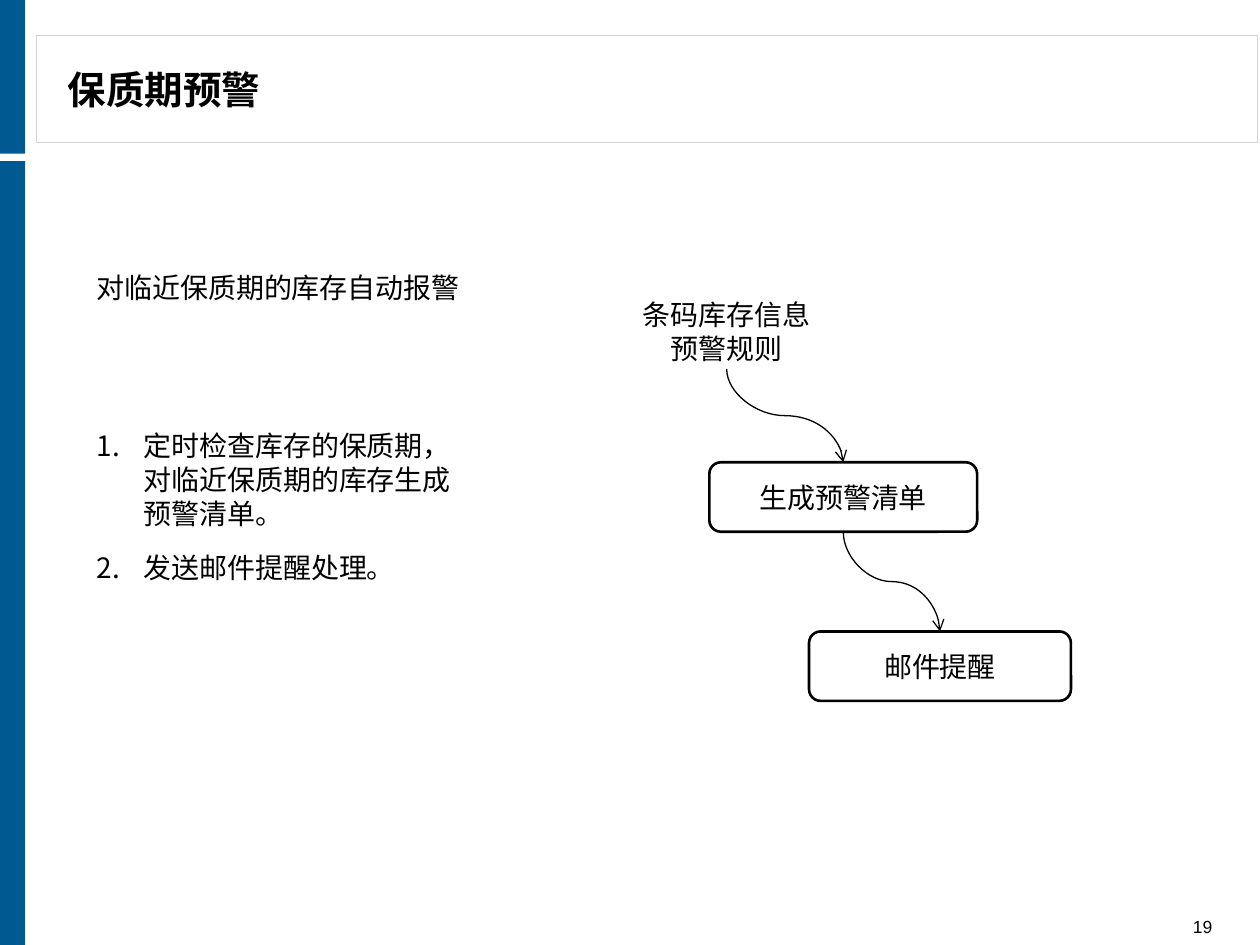
from lxml.etree import SubElement
from pptx import Presentation
from pptx.dml.color import RGBColor
from pptx.enum.shapes import MSO_CONNECTOR as LINK, MSO_SHAPE as SHAPE
from pptx.enum.text import MSO_ANCHOR as ANCHOR, PP_ALIGN as ALIGN
from pptx.oxml.ns import qn
from pptx.util import Cm, Pt

COLORS = {"black": "000000", "white": "FFFFFF", "blue": "005A92", "gray": "D0D3DA"}
FONT = {"name": "Arial", "size": Pt(16)}
FRAME = {
    "word_wrap": True,
    "vertical_anchor": ANCHOR.MIDDLE,
    "margin_left": Cm(0.25),
    "margin_right": Cm(0.25),
    "margin_top": 0,
    "margin_bottom": 0,
}
CENTER = {"alignment": ALIGN.CENTER}
LIST = {"alignment": ALIGN.LEFT, "space_before": Pt(6), "space_after": Pt(6)}


def apply(target, values):
    for name, value in values.items():
        setattr(target, name, value)


def color(name):
    return RGBColor.from_string(COLORS[name])


def write(shape, lines, font={}, frame={}, para_format={}):
    text_frame = shape.text_frame
    apply(text_frame, FRAME | frame)
    text_frame.text = "\n".join(lines)
    for para in text_frame.paragraphs:
        apply(para, para_format)
        for span in para.runs:
            apply(span.font, FONT | font)
            span.font.color.rgb = color("black")


def add_text(page, place, text, **formats):
    box = page.shapes.add_textbox(*map(Cm, place))
    write(box, [text], **formats)


def add_box(page, kind, place, fill="white", line=None, width=1.5):
    box = page.shapes.add_shape(kind, *map(Cm, place))
    box.shadow.inherit = False
    box.fill.solid()
    box.fill.fore_color.rgb = color(fill)
    if line:
        box.line.color.rgb = color(line)
        box.line.width = Pt(width)
    else:
        box.line.fill.background()
    return box


def number_paragraphs(box):
    for para in box.text_frame.paragraphs:
        settings = para._p.get_or_add_pPr()
        settings.set("marL", str(Cm(0.95)))
        settings.set("indent", str(-Cm(0.95)))
        SubElement(settings, qn("a:buFont"), typeface="Arial")
        SubElement(settings, qn("a:buAutoNum"), type="arabicPeriod")


def add_curve(page, start, end):
    middle_x, middle_y = ((a + b) / 2 for a, b in zip(start, end))
    half_x, half_y = ((b - a) / 2 for a, b in zip(start, end))
    turned = (middle_x + half_y, middle_y - half_x, middle_x - half_y, middle_y + half_x)
    curve = page.shapes.add_connector(LINK.CURVE, *map(Cm, turned))
    curve.line.color.rgb = color("black")
    curve.line.width = Pt(0.75)
    properties = curve._element.spPr
    properties.find(qn("a:xfrm")).set("rot", str(270 * 60000))
    SubElement(curve.line._get_or_add_ln(), qn("a:tailEnd"), type="arrow")
    SubElement(properties, qn("a:effectLst"))


def add_frame(page):
    add_box(page, SHAPE.RECTANGLE, (0.74, 0.71, 24.61, 2.16), line="gray", width=0.75)
    for top, height in ((0, 3.1), (3.25, 15.8)):
        add_box(page, SHAPE.RECTANGLE, (0, top, 0.51, height), fill="blue")
    add_text(page, (1.12, 0.79, 16, 2.01), "保质期预警", font={"size": Pt(22), "bold": True})
    add_text(page, (22.3, 18.44, 2.39, 0.46), "19", font={"size": Pt(10)},
             frame={"vertical_anchor": ANCHOR.BOTTOM}, para_format={"alignment": ALIGN.RIGHT})


def add_flow(page):
    source = add_box(page, SHAPE.FLOWCHART_DOCUMENT, (12.7, 6.12, 3.89, 1.4))
    write(source, ["条码库存信息", "预警规则"], para_format=CENTER)
    steps = (
        ("生成预警清单", (14.3, 9.32, 5.4, 1.4)),
        ("邮件提醒", (16.31, 12.73, 5.28, 1.4)),
    )
    start = (14.65, 7.44)
    for text, place in steps:
        box = add_box(page, SHAPE.ROUNDED_RECTANGLE, place, line="black")
        write(box, [text], para_format=CENTER)
        left, top, width, height = place
        middle = left + width / 2
        add_curve(page, start, (middle, top))
        start = (middle, top + height)


def add_description(page):
    rules = add_box(page, SHAPE.FLOWCHART_DOCUMENT, (1.7, 6.53, 8, 9.19))
    write(rules, ["定时检查库存的保质期，对临近保质期的库存生成预警清单。", "发送邮件提醒处理。"],
          para_format=LIST)
    number_paragraphs(rules)
    add_text(page, (1.7, 5.33, 7.92, 0.94), "对临近保质期的库存自动报警",
             frame={"word_wrap": False, "vertical_anchor": ANCHOR.TOP,
                    "margin_top": Cm(0.13), "margin_bottom": Cm(0.13)})


def main():
    deck = Presentation()
    deck.slide_width, deck.slide_height = Cm(25.4), Cm(19.05)
    page = deck.slides.add_slide(deck.slide_layouts[6])
    add_frame(page)
    add_flow(page)
    add_description(page)
    deck.save("out.pptx")


if __name__ == "__main__":
    main()
